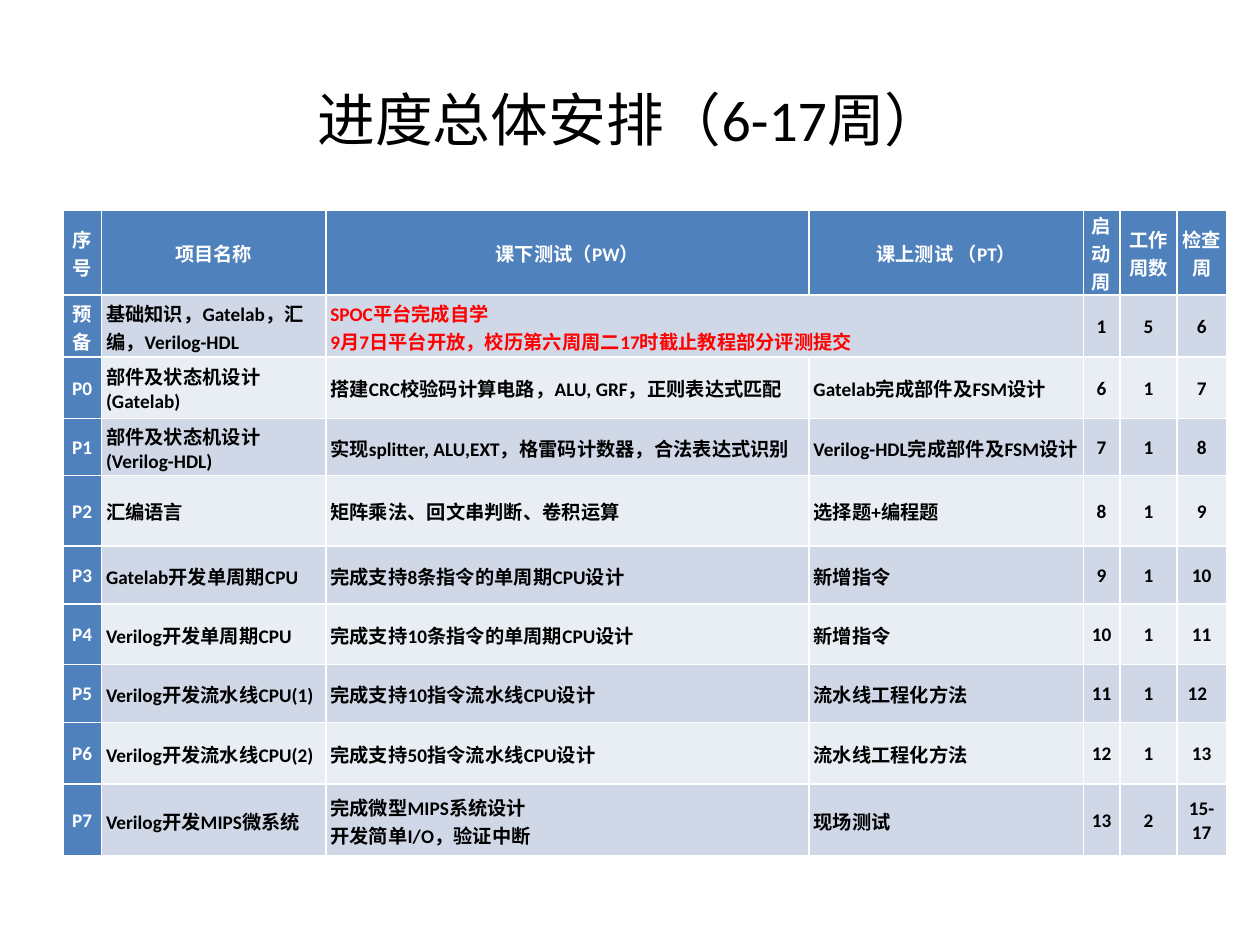
from lxml import etree
from pptx import Presentation
from pptx import util as u
from pptx.dml.color import RGBColor
from pptx.enum import text
from pptx.oxml.ns import qn

# Content
TITLE = "进度总体安排（6-17周）"
HEADER = ["序号", "项目名称", "课下测试（PW）", "课上测试 （PT）", "启动周", "工作周数", "检查周"]
ROWS = [
    ["预备", "基础知识，Gatelab，汇编，Verilog-HDL",
     "SPOC平台完成自学\n9月7日平台开放，校历第六周周二17时截止教程部分评测提交", "", "1", "5", "6"],
    ["P0", "部件及状态机设计\n(Gatelab)", "搭建CRC校验码计算电路，ALU, GRF，正则表达式匹配",
     "Gatelab完成部件及FSM设计", "6", "1", "7"],
    ["P1", "部件及状态机设计\n(Verilog-HDL)", "实现splitter, ALU,EXT，格雷码计数器，合法表达式识别",
     "Verilog-HDL完成部件及FSM设计", "7", "1", "8"],
    ["P2", "汇编语言", "矩阵乘法、回文串判断、卷积运算", "选择题+编程题", "8", "1", "9"],
    ["P3", "Gatelab开发单周期CPU", "完成支持8条指令的单周期CPU设计", "新增指令", "9", "1", "10"],
    ["P4", "Verilog开发单周期CPU", "完成支持10条指令的单周期CPU设计", "新增指令", "10", "1", "11"],
    ["P5", "Verilog开发流水线CPU(1)", "完成支持10指令流水线CPU设计", "流水线工程化方法", "11", "1", "12"],
    ["P6", "Verilog开发流水线CPU(2)", "完成支持50指令流水线CPU设计", "流水线工程化方法", "12", "1", "13"],
    ["P7", "Verilog开发MIPS微系统", "完成微型MIPS系统设计\n开发简单I/O，验证中断", "现场测试",
     "13", "2", "15-17"],
]
COL_WIDTHS = [22, 128.2, 276.1, 156.8, 20.9, 32.7, 28.1]
ROW_HEIGHTS = [33.1, 35.3, 35.3, 31, 40.3, 33.1, 34.6, 33.1, 35.3, 41]
LEFT_ALIGNED = (1, 2, 3)
COLORS = {"head": "4F81BD", "odd": "D0D8E8", "even": "E9EDF4",
          "white": "FFFFFF", "black": "000000", "red": "FF0000"}


def rgb(name):
    return RGBColor.from_string(COLORS[name])


def write(tf, content, size=11, color="black", bold=True, align=text.PP_ALIGN.CENTER):
    for i, line in enumerate(content.split("\n")):
        p = tf.paragraphs[0] if i == 0 else tf.add_paragraph()
        p.alignment = align
        r = p.add_run()
        r.text = line
        r.font.name, r.font.size, r.font.bold = "Calibri", u.Pt(size), bold
        r.font.color.rgb = rgb(color)


def add_borders(cell):
    tc_pr = cell._tc.get_or_add_tcPr()
    for side in "LRTB":
        ln = etree.SubElement(tc_pr, qn("a:ln" + side), w=str(u.Pt(1)))
        fill = etree.SubElement(ln, qn("a:solidFill"))
        etree.SubElement(fill, qn("a:srgbClr"), val=COLORS["white"])


prs = Presentation()
prs.slide_width, prs.slide_height = u.Pt(720), u.Pt(540)
s = prs.slides.add_slide(prs.slide_layouts[5])

# Title
title = s.shapes.title
title.left, title.top, title.width, title.height = map(u.Pt, (36, 44, 648, 67.7))
title.text_frame.vertical_anchor = text.MSO_ANCHOR.TOP
write(title.text_frame, TITLE, size=33, bold=False)

# Schedule table
table = s.shapes.add_table(len(ROW_HEIGHTS), len(COL_WIDTHS), u.Pt(36), u.Pt(120.2),
                           u.Pt(sum(COL_WIDTHS)), u.Pt(sum(ROW_HEIGHTS))).table
for col, width in zip(table.columns, COL_WIDTHS):
    col.width = u.Pt(width)
for row, height in zip(table.rows, ROW_HEIGHTS):
    row.height = u.Pt(height)

for i, values in enumerate([HEADER] + ROWS):
    for j, value in enumerate(values):
        cell = table.cell(i, j)
        heading = i == 0 or j == 0
        add_borders(cell)
        cell.fill.solid()
        cell.fill.fore_color.rgb = rgb("head" if heading else "odd" if i % 2 else "even")
        cell.vertical_anchor = text.MSO_ANCHOR.MIDDLE
        cell.margin_left = cell.margin_right = u.Pt(2.6)
        cell.margin_top, cell.margin_bottom = u.Pt(0.6), u.Pt(0)
        if value:
            color = "white" if heading else "red" if (i, j) == (1, 2) else "black"
            left = j in LEFT_ALIGNED and not heading
            write(cell.text_frame, value, color=color,
                  align=text.PP_ALIGN.LEFT if left else text.PP_ALIGN.CENTER)

# The preparation note spans both test columns; the P5 check week sits a little left
table.cell(1, 2).merge(table.cell(1, 3))
table.cell(7, 6).margin_right = u.Pt(7.6)

prs.save("out.pptx")
